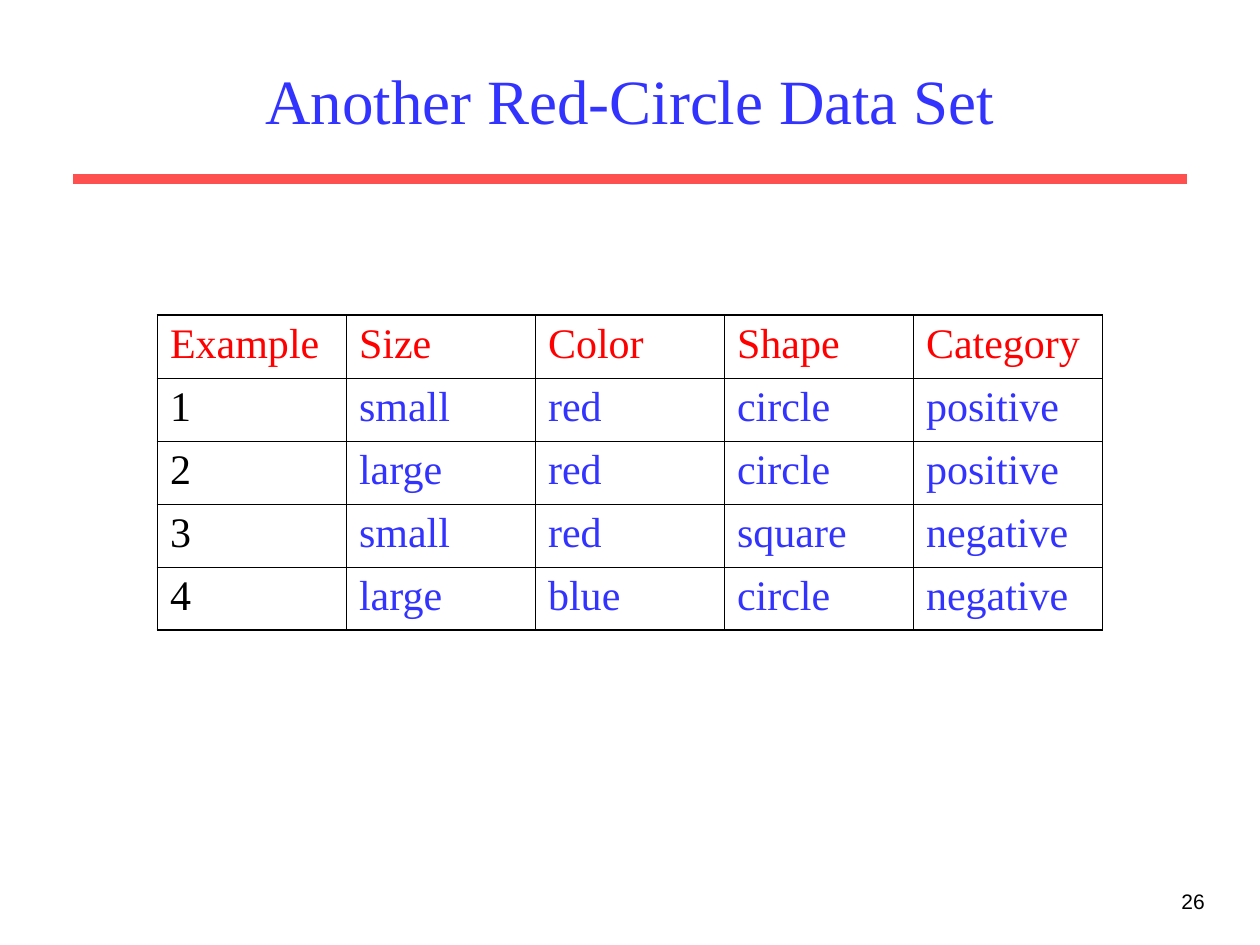
from typing import NamedTuple

from lxml.etree import SubElement
from pptx import Presentation
from pptx.dml.color import RGBColor
from pptx.enum.shapes import MSO_CONNECTOR
from pptx.enum.text import MSO_ANCHOR, PP_ALIGN
from pptx.oxml import parse_xml
from pptx.oxml.ns import nsdecls, qn
from pptx.util import Inches, Pt

BLACK, BLUE, RED, CORAL = "000000", "3333FF", "FF0000", "FF5050"
SERIF, SANS = "Times New Roman", "Arial"
OUTER_BORDER, INNER_BORDER = 1.08, 0.45


class Style(NamedTuple):
    font: str
    size: float
    color: str


class Example(NamedTuple):
    number: str
    size: str
    color: str
    shape: str
    category: str


HEADINGS = Example("Example", "Size", "Color", "Shape", "Category")
EXAMPLES = [
    Example("1", "small", "red", "circle", "positive"),
    Example("2", "large", "red", "circle", "positive"),
    Example("3", "small", "red", "square", "negative"),
    Example("4", "large", "blue", "circle", "negative"),
]


def rgb(color: str) -> RGBColor:
    return RGBColor.from_string(color)


def write(frame, text: str, style: Style, align=PP_ALIGN.LEFT) -> None:
    paragraph = frame.paragraphs[0]
    paragraph.alignment = align
    run = paragraph.add_run()
    run.text = text
    run.font.name = style.font
    run.font.size = Pt(style.size)
    run.font.color.rgb = rgb(style.color)


def set_borders(cell, widths: dict[str, float]) -> None:
    """Put the border lines, given as side and points, ahead of the cell's fill."""
    properties = cell._tc.get_or_add_tcPr()
    for position, (side, width) in enumerate(widths.items()):
        properties.insert(position, parse_xml(
            f'<a:ln{side} {nsdecls("a")} w="{Pt(width)}"><a:solidFill>'
            f'<a:srgbClr val="{BLACK}"/></a:solidFill></a:ln{side}>'))


def add_title(slide, text: str) -> None:
    title = slide.shapes.title
    title.left, title.top = Inches(0.75), Inches(0.25)
    title.width, title.height = Inches(8.5), Inches(1.08)
    title.text_frame.vertical_anchor = MSO_ANCHOR.MIDDLE
    write(title.text_frame, text, Style(SERIF, 36, BLUE), PP_ALIGN.CENTER)


def add_title_rule(slide) -> None:
    rule = slide.shapes.add_connector(
        MSO_CONNECTOR.STRAIGHT, Inches(0.58), Inches(1.42), Inches(9.42), Inches(1.42))
    rule.line.color.rgb = rgb(CORAL)
    rule.line.width = Pt(6)
    SubElement(rule._element.spPr, qn("a:effectLst"))


def add_page_number(slide, number: str) -> None:
    box = slide.shapes.add_textbox(Inches(7.58), Inches(7), Inches(2.08), Inches(0.5))
    box.text_frame.word_wrap = True
    write(box.text_frame, number, Style(SANS, 12, BLACK), PP_ALIGN.RIGHT)


def add_data_set(slide, rows: list[Example]) -> None:
    last_row, last_column = len(rows) - 1, len(HEADINGS) - 1
    table = slide.shapes.add_table(
        len(rows), len(HEADINGS), Inches(1.25), Inches(2.5),
        Inches(1.5 * len(HEADINGS)), Inches(0.5 * len(rows))).table
    table.first_row = table.horz_banding = False
    for r, example in enumerate(rows):
        for c, value in enumerate(example):
            cell = table.cell(r, c)
            color = RED if r == 0 else BLACK if c == 0 else BLUE
            write(cell.text_frame, value, Style(SERIF, 24, color))
            cell.fill.background()
            on_edge = {"L": c == 0, "R": c == last_column, "T": r == 0, "B": r == last_row}
            set_borders(cell, {side: OUTER_BORDER if edge else INNER_BORDER
                               for side, edge in on_edge.items()})


def main() -> None:
    presentation = Presentation()
    presentation.slide_width, presentation.slide_height = Inches(10), Inches(7.5)
    slide = presentation.slides.add_slide(presentation.slide_layouts[5])
    add_title_rule(slide)
    add_title(slide, "Another Red-Circle Data Set")
    add_page_number(slide, "26")
    add_data_set(slide, [HEADINGS, *EXAMPLES])
    presentation.save("out.pptx")


if __name__ == "__main__":
    main()
